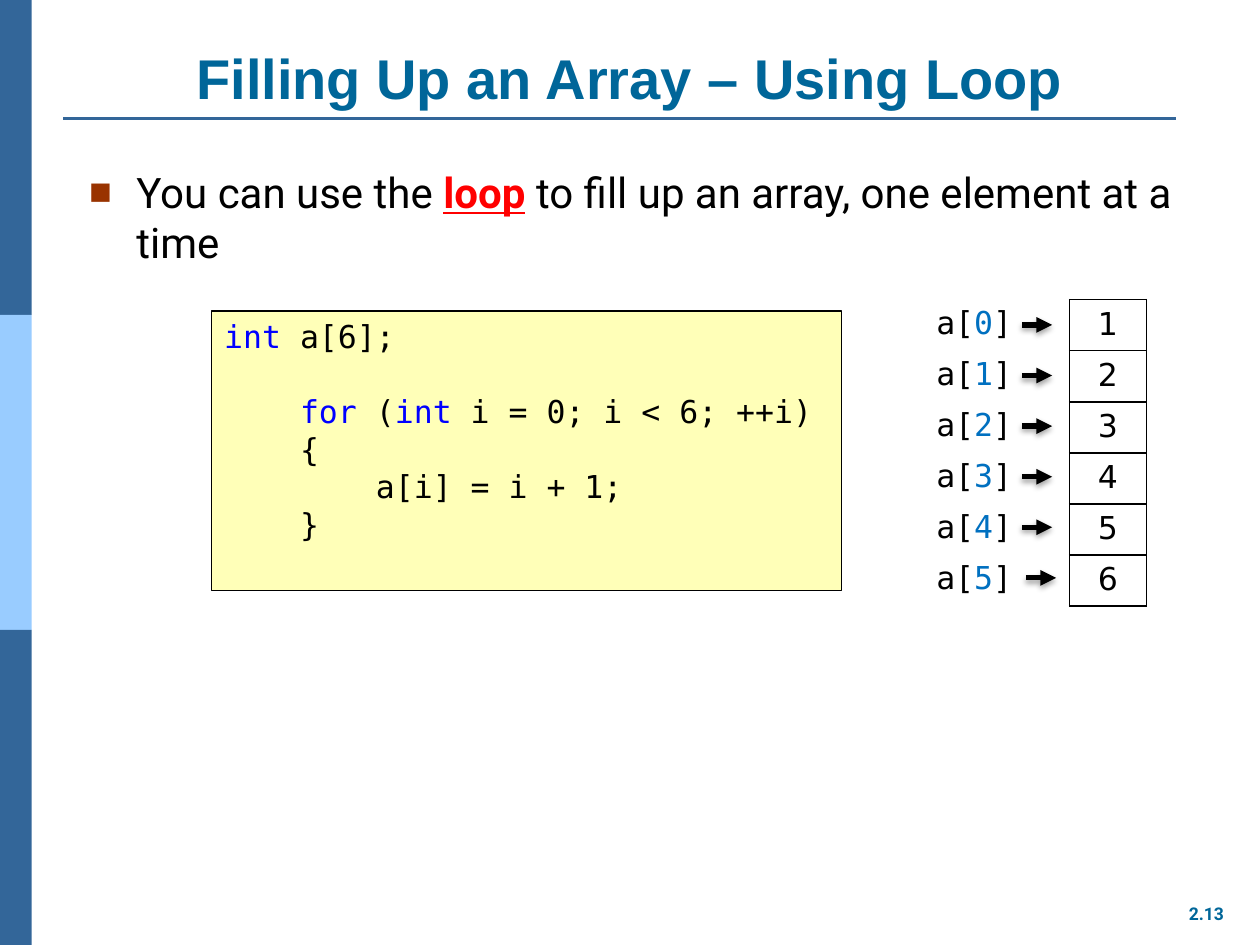
from lxml import etree
from pptx import Presentation
from pptx.dml.color import RGBColor
from pptx.enum.shapes import MSO_CONNECTOR, MSO_SHAPE
from pptx.enum.text import MSO_ANCHOR, PP_ALIGN
from pptx.oxml import parse_xml
from pptx.oxml.ns import nsdecls, qn
from pptx.util import Cm, Pt

RECT = MSO_SHAPE.RECTANGLE
STRAIGHT = MSO_CONNECTOR.STRAIGHT
LEFT, CENTER = PP_ALIGN.LEFT, PP_ALIGN.CENTER
TOP, BOTTOM = MSO_ANCHOR.TOP, MSO_ANCHOR.BOTTOM

BLACK = RGBColor(0x00, 0x00, 0x00)
STEEL = RGBColor(0x33, 0x66, 0x99)
SKY = RGBColor(0x99, 0xCC, 0xFF)
TEAL = RGBColor(0x00, 0x66, 0x99)
RED = RGBColor(0xFF, 0x00, 0x00)
KEYWORD = RGBColor(0x00, 0x00, 0xFF)
INDEX = RGBColor(0x00, 0x70, 0xC0)
CREAM = RGBColor(0xFF, 0xFF, 0xB8)

MONO = "DejaVu Sans Mono"


class Deck:
    """Holds the presentation, its current slide and the shared style."""

    def __init__(self):
        self.prs = Presentation()
        self.prs.slide_width, self.prs.slide_height = Cm(25.4), Cm(19.05)
        self.s = self.prs.slides.add_slide(self.prs.slide_layouts[6])

    def runs(self, p, parts, font, size, bold=False, align=LEFT):
        """Each part is (text, colour) or (text, colour, emphasised)."""
        p.alignment = align
        for text, color, *emphasis in parts:
            r = p.add_run()
            r.text = text
            r.font.name, r.font.size = font, Pt(size)
            r.font.bold = bold or bool(emphasis)
            r.font.underline = bool(emphasis)
            r.font.color.rgb = color

    def text(self, x, y, w, h, parts, font, size, bold=False, align=LEFT,
             anchor=TOP, wrap=True):
        tf = self.s.shapes.add_textbox(Cm(x), Cm(y), Cm(w), Cm(h)).text_frame
        tf.word_wrap, tf.vertical_anchor = wrap, anchor
        self.runs(tf.paragraphs[0], parts, font, size, bold, align)
        return tf.paragraphs[0]

    def bullet(self, p, indent):
        pPr = p._p.get_or_add_pPr()
        pPr.set("marL", str(Cm(indent)))
        pPr.set("indent", str(-Cm(indent)))
        color = etree.SubElement(pPr, qn("a:buClr"))
        etree.SubElement(color, qn("a:srgbClr"), val="993300")
        etree.SubElement(pPr, qn("a:buSzPct"), val="90000")
        etree.SubElement(pPr, qn("a:buFont"), typeface="Arial")
        etree.SubElement(pPr, qn("a:buChar"), char="■")

    def rect(self, x, y, w, h, fill, line=None):
        sp = self.s.shapes.add_shape(RECT, Cm(x), Cm(y), Cm(w), Cm(h))
        sp.shadow.inherit = False
        sp.fill.solid()
        sp.fill.fore_color.rgb = fill
        if line is None:
            sp.line.fill.background()
        else:
            sp.line.color.rgb, sp.line.width = line, Pt(0.75)
        return sp

    def code(self, x, y, w, h, lines):
        """Each line is (space before in points, parts)."""
        tf = self.rect(x, y, w, h, CREAM, BLACK).text_frame
        tf.word_wrap, tf.vertical_anchor = True, TOP
        for i, (gap, parts) in enumerate(lines):
            p = tf.add_paragraph() if i else tf.paragraphs[0]
            if gap:
                p.space_before = Pt(gap)
            self.runs(p, parts, MONO, 18)

    def line(self, x1, x2, y, color, width, arrow=False):
        cn = self.s.shapes.add_connector(STRAIGHT, Cm(x1), Cm(y), Cm(x2), Cm(y))
        cn.line.color.rgb, cn.line.width = color, Pt(width)
        shadow = ""
        if arrow:
            ln = cn.line._get_or_add_ln()
            etree.SubElement(ln, qn("a:tailEnd"), type="triangle")
            shadow = ('<a:outerShdw blurRad="40000" dist="23000" dir="5400000" '
                      'rotWithShape="0"><a:srgbClr val="000000">'
                      '<a:alpha val="35000"/></a:srgbClr></a:outerShdw>')
        cn._element.spPr.append(parse_xml(
            f'<a:effectLst {nsdecls("a")}>{shadow}</a:effectLst>'))

    def column(self, x, y, w, row_h, rows, font, align=LEFT, border=False):
        frame = self.s.shapes.add_table(len(rows), 1, Cm(x), Cm(y), Cm(w),
                                        Cm(row_h * len(rows)))
        table = frame.table
        table.first_row = table.horz_banding = False
        for i, parts in enumerate(rows):
            table.rows[i].height = Cm(row_h)
            cell = table.cell(i, 0)
            self.runs(cell.text_frame.paragraphs[0], parts, font, 18, align=align)
            self.borders(cell, border)
            cell.fill.background()

    def borders(self, cell, visible):
        fill = ('<a:solidFill><a:srgbClr val="000000"/></a:solidFill>'
                if visible else '<a:noFill/>')
        for side in ("lnL", "lnR", "lnT", "lnB"):
            cell._tc.get_or_add_tcPr().append(parse_xml(
                f'<a:{side} {nsdecls("a")} w="12700">{fill}</a:{side}>'))


def main():
    deck = Deck()

    # Side bands and title rule
    for i, color in enumerate((STEEL, SKY, STEEL)):
        deck.rect(0, 6.35 * i, 0.64, 6.35, color)
    deck.line(1.27, 23.7, 2.39, STEEL, 1.5)

    # Title, bullet and page number
    deck.text(1.27, 0.76, 22.86, 1.6,
              [("Filling Up an Array – Using Loop", TEAL)],
              "Arial", 32, bold=True, align=CENTER, anchor=BOTTOM)
    p = deck.text(1.55, 3.23, 23.22, 8.99,
                  [("You can use the ", BLACK), ("loop", RED, True),
                   (" to fill up an array, one element at a time", BLACK)],
                  "Roboto", 24)
    deck.bullet(p, 0.95)
    deck.text(23.7, 18.08, 1.24, 0.69, [("2.13", TEAL)],
              "Roboto", 10, bold=True, align=CENTER, wrap=False)

    # Code
    deck.code(4.27, 6.27, 12.7, 5.64, [
        (0, [("int ", KEYWORD), ("a[6];", BLACK)]),
        (21, [("    ", BLACK), ("for", KEYWORD), (" (", BLACK),
              ("int", KEYWORD), (" i = 0; i < 6; ++i)", BLACK)]),
        (0, [("    {", BLACK)]),
        (0, [("        a[i] = i + 1;", BLACK)]),
        (0, [("    }", BLACK)]),
    ])

    # Array values, their labels and arrows
    size = 6
    deck.column(21.56, 6.04, 1.55, 1.03,
                [[(str(i + 1), BLACK)] for i in range(size)],
                "DejaVu Sans", CENTER, border=True)
    deck.column(18.62, 6.02, 2.95, 1.03,
                [[("a[", BLACK), (str(i), INDEX), ("]", BLACK)]
                 for i in range(size)], MONO)
    for i in range(size):
        x = 20.68 if i == size - 1 else 20.6  # the last arrow sits further right
        deck.line(x, x + 0.61, 6.55 + 1.02 * i, BLACK, 3, arrow=True)

    deck.prs.save("out.pptx")


if __name__ == "__main__":
    main()
